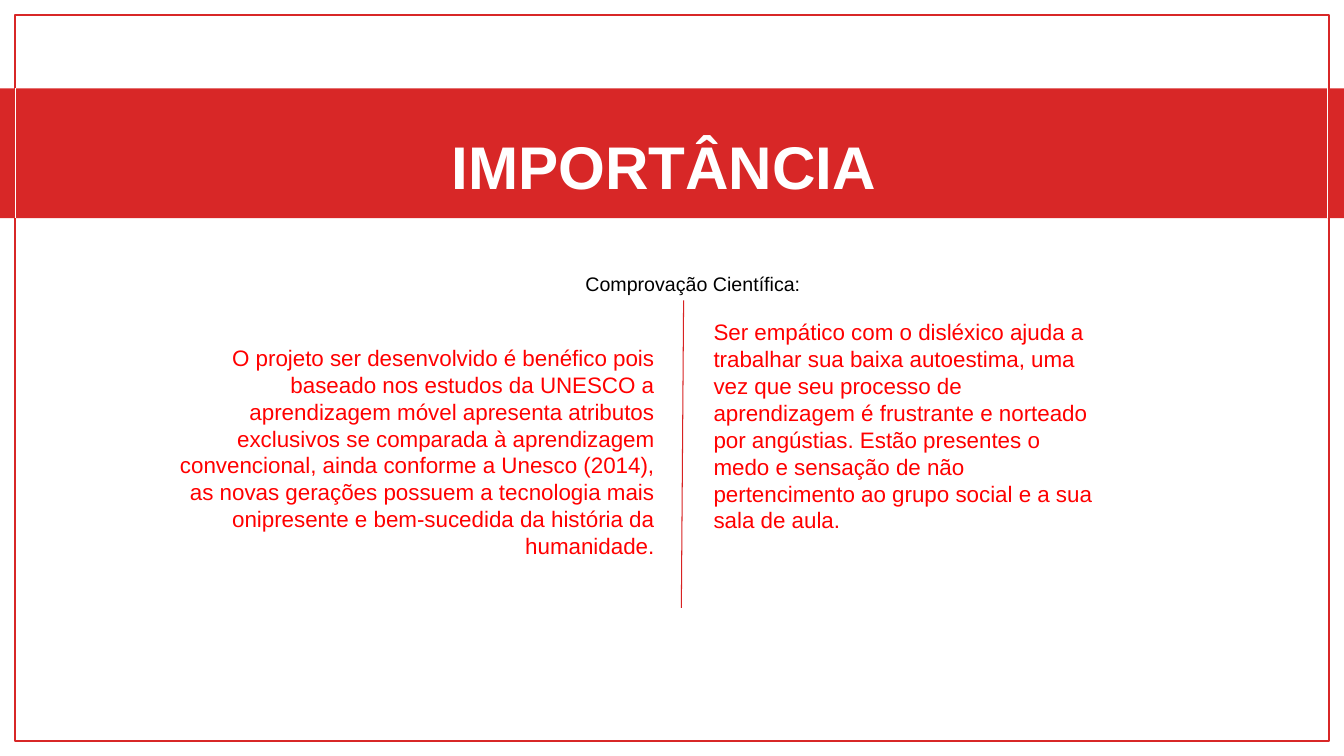
from pptx import Presentation
from pptx.dml.color import RGBColor
from pptx.enum import shapes, text
from pptx.oxml.ns import qn
from pptx.util import Pt
from lxml import etree

COLORS = {"band": "D82727", "divider": "D82222", "body": "FF0000",
          "white": "FFFFFF", "black": "000000"}
FONT = "Arial"
WIDTH, HEIGHT = 960, 540
FRAME_MARGIN = 10.8
BAND_TOP, BAND_HEIGHT = 63.2, 92.6
RIGHT, LEFT, CENTER = text.PP_ALIGN.RIGHT, text.PP_ALIGN.LEFT, text.PP_ALIGN.CENTER
TOP, MIDDLE = text.MSO_ANCHOR.TOP, text.MSO_ANCHOR.MIDDLE

# Boxes are left, top, width, height; insets are left, top, right, bottom.
TEXTS = [
    dict(words="O projeto ser desenvolvido é benéfico pois baseado nos estudos da UNESCO a "
               "aprendizagem móvel apresenta atributos exclusivos se comparada à aprendizagem "
               "convencional, ainda conforme a Unesco (2014), as novas gerações possuem a "
               "tecnologia mais onipresente e bem-sucedida da história da humanidade.",
         box=(80, 229, 399.6, 205.2), insets=(43.2, 7.2, 12.2, 25.4),
         size=16, color="body", align=RIGHT, anchor=MIDDLE, spacing=19.2),
    dict(words="Comprovação Científica:",
         box=(380.2, 190.8, 198.7, 24.5), insets=(7.2, 3.6, 7.2, 3.6),
         size=14, color="black", align=RIGHT, anchor=TOP),
    dict(words="IMPORTÂNCIA",
         box=(69.8, 81.4, 808.6, 74.2), insets=(7.2, 7.2, 7.2, 7.2),
         size=43, color="white", align=CENTER, anchor=MIDDLE, bold=True),
    dict(words="Ser empático com o disléxico ajuda a trabalhar sua baixa autoestima, uma vez "
               "que seu processo de aprendizagem é frustrante e norteado por angústias. Estão "
               "presentes o medo e sensação de não pertencimento ao grupo social e a sua sala "
               "de aula.",
         box=(502.6, 223.9, 290.9, 200.9), insets=(7.2, 3.6, 7.2, 3.6),
         size=16, color="body", align=LEFT, anchor=TOP, spacing=19.2),
]

BAND_BOTTOM = BAND_TOP + BAND_HEIGHT
LINES = [
    ((FRAME_MARGIN, BAND_TOP), (FRAME_MARGIN, BAND_BOTTOM), "white"),
    ((948.4, BAND_TOP), (948.4, BAND_BOTTOM), "white"),
    ((488.3, 214.6), (486.7, 434.2), "divider"),
]


def rgb(name):
    return RGBColor.from_string(COLORS[name])


def points(values):
    return [Pt(value) for value in values]


def add_rectangle(slide, box):
    rectangle = slide.shapes.add_shape(shapes.MSO_SHAPE.RECTANGLE, *points(box))
    rectangle.shadow.inherit = False
    return rectangle


def add_text(slide, words, box, insets, size, color, align, anchor, bold=False, spacing=None):
    frame = slide.shapes.add_textbox(*points(box)).text_frame
    frame.word_wrap = True
    frame.vertical_anchor = anchor
    (frame.margin_left, frame.margin_top,
     frame.margin_right, frame.margin_bottom) = points(insets)
    frame.text = words
    paragraph = frame.paragraphs[0]
    paragraph.alignment = align
    if spacing:
        paragraph.line_spacing = Pt(spacing)
    font = paragraph.runs[0].font
    font.name, font.size, font.bold = FONT, Pt(size), bold
    font.color.rgb = rgb(color)


def add_line(slide, start, end, color):
    line = slide.shapes.add_connector(shapes.MSO_CONNECTOR.STRAIGHT, *points(start + end))
    line.line.color.rgb = rgb(color)
    line.line.width = Pt(0.75)
    etree.SubElement(line._element.spPr, qn("a:effectLst"))


def main():
    deck = Presentation()
    deck.slide_width, deck.slide_height = Pt(WIDTH), Pt(HEIGHT)
    slide = deck.slides.add_slide(deck.slide_layouts[6])

    frame = add_rectangle(slide, (FRAME_MARGIN, FRAME_MARGIN,
                                  WIDTH - 2 * FRAME_MARGIN, HEIGHT - 2 * FRAME_MARGIN))
    frame.fill.background()
    frame.line.color.rgb = rgb("band")
    frame.line.width = Pt(1.5)

    band = add_rectangle(slide, (0, BAND_TOP, WIDTH, BAND_HEIGHT))
    band.fill.solid()
    band.fill.fore_color.rgb = rgb("band")
    band.line.fill.background()

    for item in TEXTS:
        add_text(slide, **item)
    for start, end, color in LINES:
        add_line(slide, start, end, color)
    deck.save("out.pptx")


if __name__ == "__main__":
    main()
